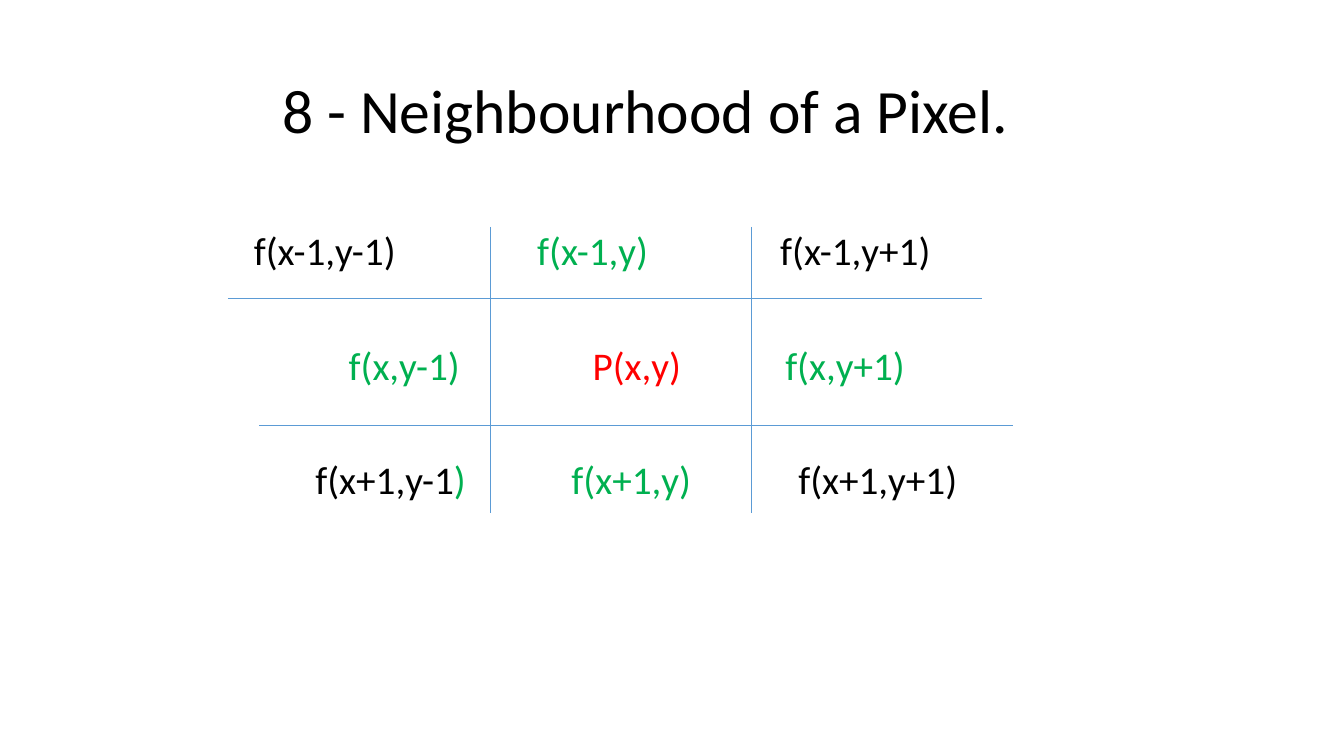
from dataclasses import dataclass
from lxml import etree
from pptx import Presentation, util as u
from pptx.dml import color
from pptx.enum import shapes, text
from pptx.oxml import ns


@dataclass(frozen=True)
class Theme:
    """Colours and type sizes."""
    font: str = "Calibri"
    head: int = 44
    body: int = 28
    ink: str = "000000"
    near: str = "00B050"
    core: str = "FF0000"
    rule: str = "5B9BD5"
    width: float = 0.5


T = Theme()
ROWS = [
    ((1.5, 4.31, 6.72), 0,
     [("\tf(x-1,y-1)", T.ink), ("\tf(x-1,y)", T.near), ("\tf(x-1,y+1)", T.ink)]),
    ((2.44, 4.86, 6.77), 52,
     [("\tf(x,y-1)", T.near), ("\tP(x,y)", T.core), ("\tf(x,y+1)", T.near)]),
    ((2.11, 4.65, 6.9), 51,
     [("\tf(x+1,y-1", T.ink), (")\tf(x+1,y)", T.near), ("\tf(x+1,y+1)", T.ink)]),
]


def style(item, **vals):
    """Set attributes from format values."""
    for key, val in vals.items():
        setattr(item, key, val)


def frame(slide, box, **vals):
    """Add a wrapping text box and return its frame."""
    area = slide.shapes.add_textbox(*map(u.Inches, box)).text_frame
    style(area, word_wrap=True, **vals)
    return area


def write(para, words, size, tint):
    """Add one run of text."""
    run = para.add_run()
    run.text = words
    style(run.font, name=T.font, size=u.Pt(size))
    run.font.color.rgb = color.RGBColor.from_string(tint)


def title(slide, box):
    """Place the heading."""
    area = frame(slide, box, vertical_anchor=text.MSO_ANCHOR.MIDDLE,
                 margin_left=u.Inches(1.88))
    para = area.paragraphs[0]
    para.line_spacing = 0.9
    write(para, "8 - Neighbourhood of a Pixel.", T.head, T.ink)


def labels(slide, box):
    """Place the three rows of pixel labels on tab stops."""
    area = frame(slide, box)
    for i, (stops, gap, runs) in enumerate(ROWS):
        para = area.add_paragraph() if i else area.paragraphs[0]
        style(para, line_spacing=0.9, space_before=u.Pt(gap))
        tabs = etree.SubElement(para._p.get_or_add_pPr(), ns.qn("a:tabLst"))
        for stop in stops:
            etree.SubElement(tabs, ns.qn("a:tab"), pos=str(u.Inches(stop)), algn="l")
        for words, tint in runs:
            write(para, words, T.body, tint)


def rule(slide, *ends):
    """Draw one thin line."""
    line = slide.shapes.add_connector(shapes.MSO_CONNECTOR.STRAIGHT, *map(u.Inches, ends))
    line.line.color.rgb = color.RGBColor.from_string(T.rule)
    line.line.width = u.Pt(T.width)
    etree.SubElement(line._element.spPr, ns.qn("a:effectLst"))


def grid(slide, box):
    """Draw the crossing lines of the neighbourhood."""
    left, top, wide, high = box
    for dx, dy in ((0.31, 1.97), (0, 0.71)):
        rule(slide, left + dx, top + dy, left + dx + wide, top + dy)
    for dx in (2.6, 5.19):
        rule(slide, left + dx, top, left + dx, top + high)


def main():
    """Build the deck."""
    deck = Presentation()
    style(deck, slide_width=u.Inches(13.33), slide_height=u.Inches(7.5))
    slide = deck.slides.add_slide(deck.slide_layouts[6])
    title(slide, (0.92, 0.4, 11.5, 1.45))
    labels(slide, (0.92, 2.25, 9.84, 2.76))
    grid(slide, (2.26, 2.25, 7.48, 2.84))
    deck.save("out.pptx")


if __name__ == "__main__":
    main()
